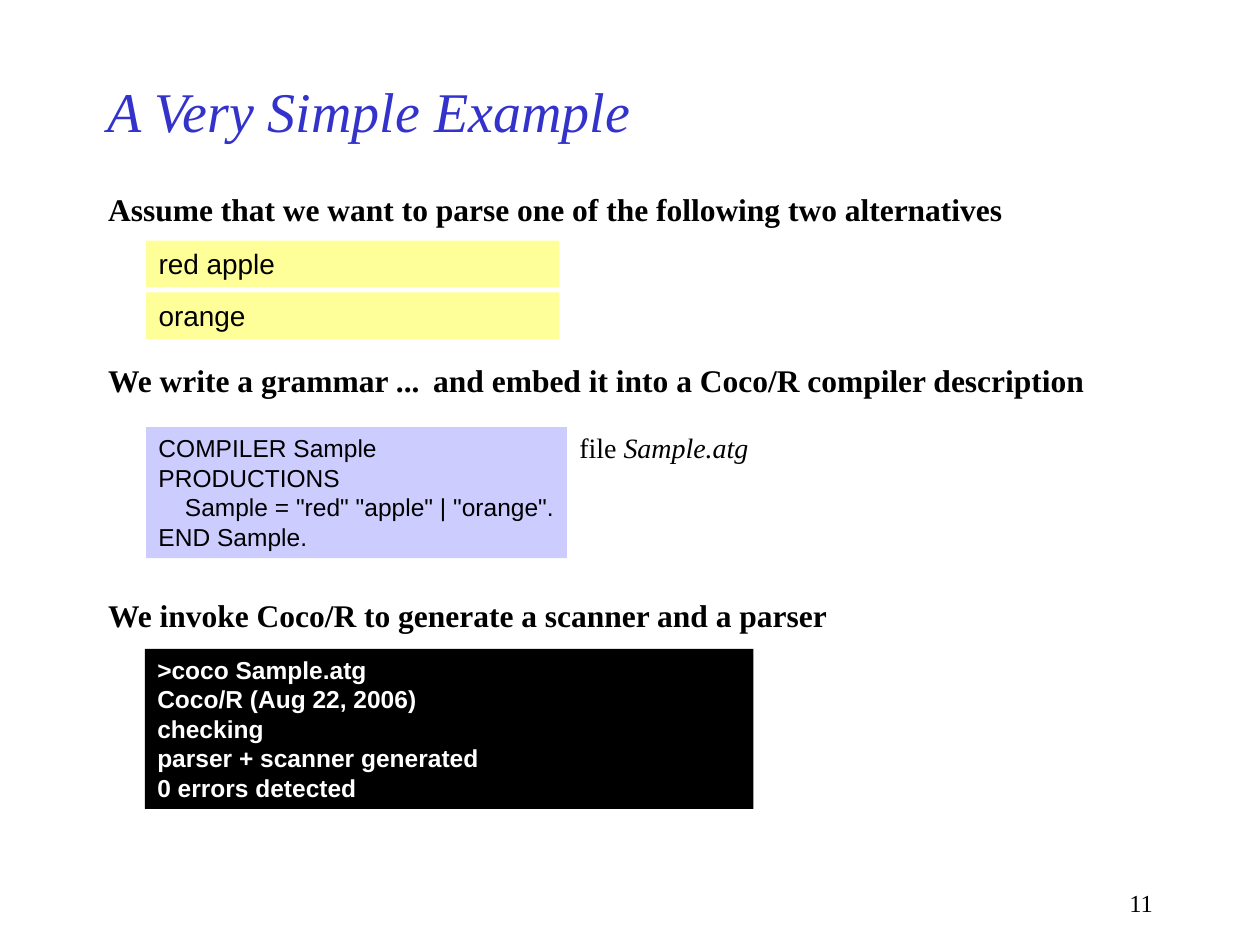
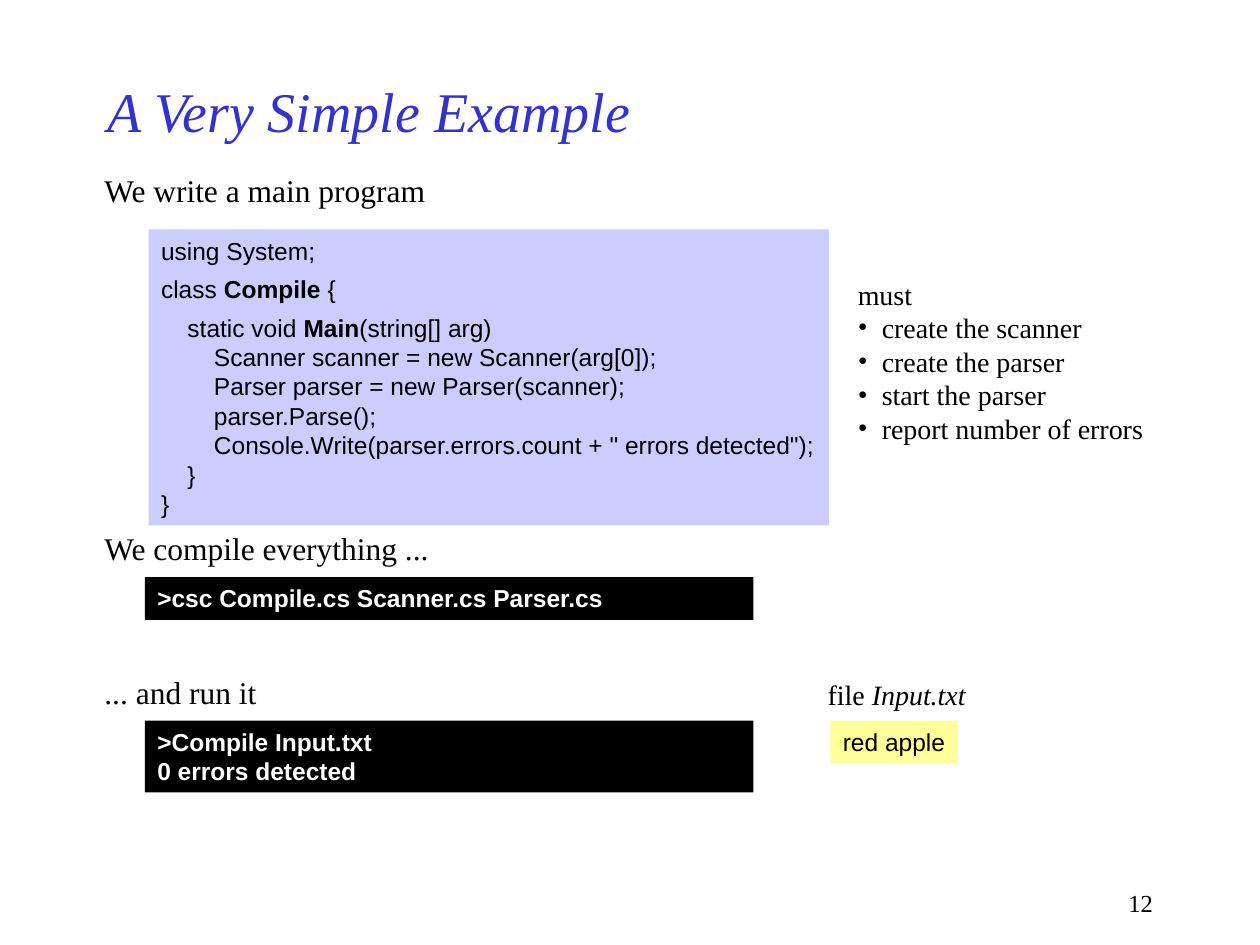
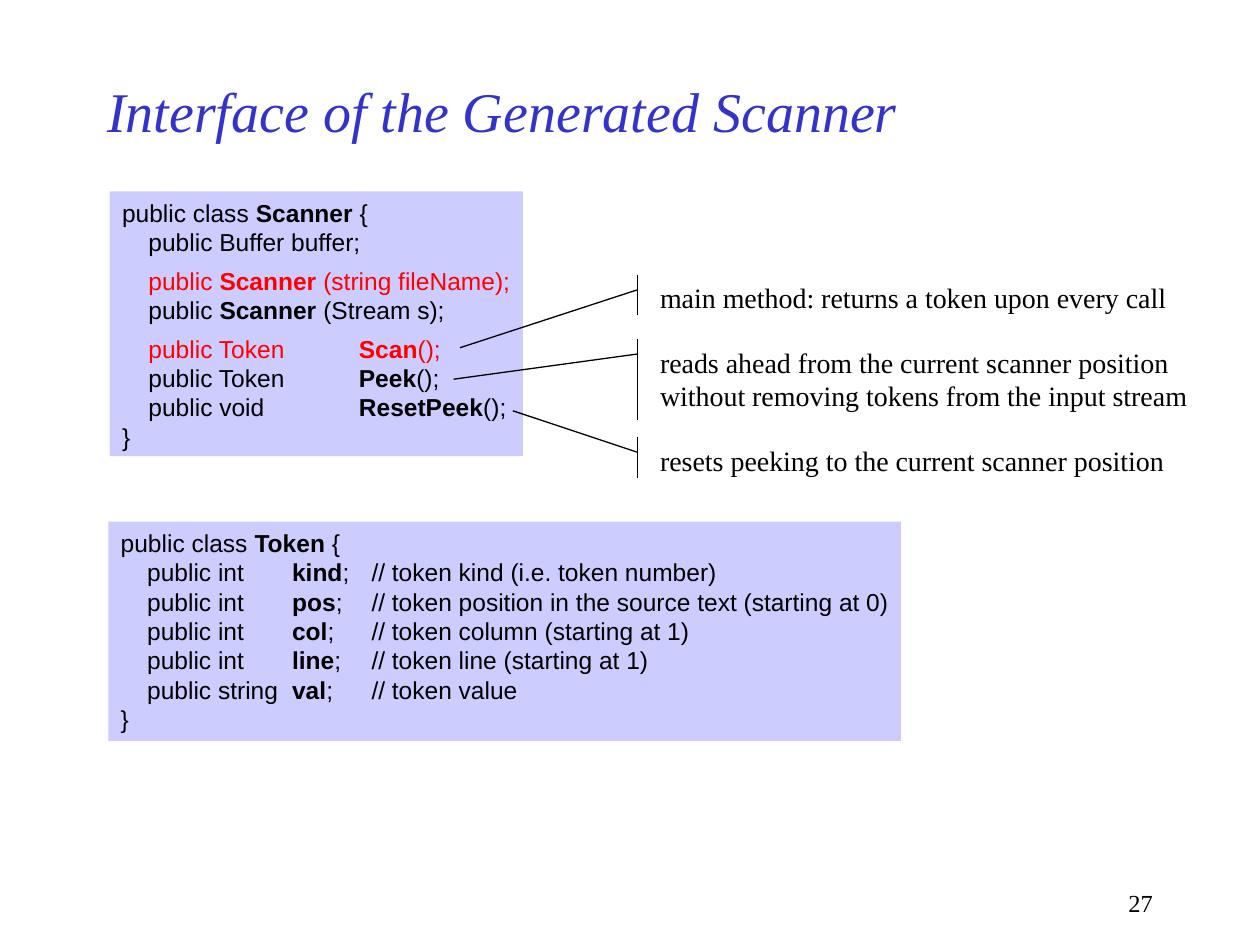
from pptx import Presentation
from pptx.dml.color import RGBColor
from pptx.enum.shapes import MSO_SHAPE
from pptx.enum.text import MSO_ANCHOR, PP_ALIGN
from pptx.oxml.ns import qn
from pptx.util import Inches, Pt
from lxml import etree

RECTANGLE = MSO_SHAPE.RECTANGLE
CALLOUT = MSO_SHAPE.LINE_CALLOUT_1_ACCENT_BAR
TOP, MIDDLE = MSO_ANCHOR.TOP, MSO_ANCHOR.MIDDLE
LEFT, RIGHT = PP_ALIGN.LEFT, PP_ALIGN.RIGHT

SERIF, SANS = "Times New Roman", "Arial"
BLACK, WHITE, BLUE, RED = "000000", "FFFFFF", "3333CC", "FF0000"
YELLOW, LILAC = "FFFF99", "CCCCFF"
GAP = 5.2
RED_LINE = {"color": RED}
SPACED = {"before": GAP}
BULLET = {"bullet": True}

HEADING = {"size": 18}
STRONG = {"size": 18, "bold": True}
NOTE = {"size": 16}
SAMPLE = {"size": 16, "font": SANS, "fill": YELLOW}
CODE = {"size": 14, "font": SANS, "fill": LILAC, "tabs": (0.21, 0.42)}
CONSOLE = {"size": 14, "font": SANS, "fill": BLACK, "color": WHITE, "bold": True}

SLIDES = [
    {
        "title": "A Very Simple Example",
        "number": "11",
        "blocks": [
            ((0.76, 1.46, 7.3, 0.4), STRONG,
             ["Assume that we want to parse one of the following two alternatives"]),
            ((1.16, 1.91, 3.28, 0.37), SAMPLE, ["red apple"]),
            ((1.16, 2.32, 3.28, 0.37), SAMPLE, ["orange"]),
            ((0.76, 2.82, 2.69, 0.4), STRONG, ["We write a grammar ..."]),
            ((3.34, 2.82, 5.37, 0.4), STRONG,
             ["and embed it into a Coco/R compiler description"]),
            ((1.16, 3.39, 3.34, 1.04), CODE, [
                "COMPILER Sample",
                "PRODUCTIONS",
                '\tSample = "red" "apple" | "orange".',
                "END Sample.",
            ]),
            ((4.5, 3.37, 1.54, 0.37), NOTE, ["file _Sample.atg_"]),
            ((0.76, 4.68, 5.93, 0.4), STRONG,
             ["We invoke Coco/R to generate a scanner and a parser"]),
            ((1.15, 5.15, 4.83, 1.27), CONSOLE, [
                ">coco Sample.atg",
                "Coco/R (Aug 22, 2006)",
                "checking",
                "parser + scanner generated",
                "0 errors detected",
            ]),
        ],
    },
    {
        "title": "A Very Simple Example",
        "number": "12",
        "blocks": [
            ((0.73, 1.31, 2.77, 0.4), HEADING, ["We write a main program"]),
            ((1.18, 1.82, 5.4, 2.35), CODE, [
                "using System;",
                ("class *Compile* {", SPACED),
                ("\tstatic void *Main*(string[] arg)", SPACED),
                "\t\tScanner scanner = new Scanner(arg[0]);",
                "\t\tParser parser = new Parser(scanner);",
                "\t\tparser.Parse();",
                '\t\tConsole.Write(parser.errors.count + " errors detected");',
                "\t}",
                "}",
            ]),
            ((6.71, 2.15, 2.47, 1.44), NOTE, [
                "must",
                ("create the scanner", BULLET),
                ("create the parser", BULLET),
                ("start the parser", BULLET),
                ("report number of errors", BULLET),
            ]),
            ((0.73, 4.15, 2.79, 0.4), HEADING, ["We compile everything ..."]),
            ((1.15, 4.58, 4.83, 0.34), CONSOLE, [">csc Compile.cs Scanner.cs Parser.cs"]),
            ((0.73, 5.29, 1.41, 0.4), HEADING, ["... and run it"]),
            ((1.15, 5.72, 4.83, 0.57), CONSOLE, [">Compile Input.txt", "0 errors detected"]),
            ((6.47, 5.33, 1.29, 0.37), NOTE, ["file _Input.txt_"]),
            ((6.59, 5.72, 1.01, 0.34), {**SAMPLE, "size": 14}, ["red apple"]),
        ],
    },
    {
        "title": "Interface of the Generated Scanner",
        "number": "27",
        "blocks": [
            ((0.87, 1.52, 3.28, 2.1), {**CODE, "tabs": (0.21, 1.88)}, [
                "public class *Scanner* {",
                "\tpublic Buffer buffer;",
                ("\tpublic *Scanner* (string fileName);", {**RED_LINE, **SPACED}),
                "\tpublic *Scanner* (Stream s);",
                ("\tpublic Token\t*Scan*();", {**RED_LINE, **SPACED}),
                "\tpublic Token\t*Peek*();",
                "\tpublic void\t*ResetPeek*();",
                "}",
            ]),
            ((0.86, 4.14, 6.29, 1.74), {**CODE, "tabs": (0.21, 1.36, 1.99)}, [
                "public class *Token* {",
                "\tpublic int\t*kind*;\t// token kind (i.e. token number)",
                "\tpublic int\t*pos*;\t// token position in the source text (starting at 0)",
                "\tpublic int\t*col*;\t// token column (starting at 1)",
                "\tpublic int\t*line*;\t// token line (starting at 1)",
                "\tpublic string\t*val*;\t// token value",
                "}",
            ]),
        ],
        "callouts": [
            ((5.14, 2.18, 4.39, 0.32), (3.65, 2.76),
             ["main method: returns a token upon every call"]),
            ((5.14, 2.69, 4.44, 0.64), (3.6, 3.01),
             ["reads ahead from the current scanner position",
              "without removing tokens from the input stream"]),
            ((5.14, 3.47, 4.32, 0.32), (4.07, 3.26),
             ["resets peeking to the current scanner position"]),
        ],
    },
]


def rgb(value):
    """Turn a hex string into a colour."""
    return RGBColor.from_string(value)


def set_list_format(paragraph, bullet, tabs):
    """Add the bullet with its hanging indent and the tab stops."""
    properties = paragraph._p.get_or_add_pPr()
    if bullet:
        properties.set("marL", str(Inches(0.19)))
        properties.set("indent", str(-Inches(0.19)))
        etree.SubElement(properties, qn("a:buFont"), typeface=SERIF)
        etree.SubElement(properties, qn("a:buChar"), char="•")
    if tabs:
        tab_list = etree.SubElement(properties, qn("a:tabLst"))
        for position in tabs:
            etree.SubElement(tab_list, qn("a:tab"), pos=str(Inches(position)), algn="l")


def add_runs(paragraph, text, size, font, color, bold, italic):
    """Write text whose *starred* parts are bold and _underscored_ parts italic."""
    for star_index, part in enumerate(text.split("*")):
        for score_index, piece in enumerate(part.split("_")):
            if not piece:
                continue
            run = paragraph.add_run()
            run.text = piece
            run.font.size = Pt(size)
            run.font.name = font
            run.font.color.rgb = rgb(color)
            run.font.bold = bold or star_index % 2 == 1
            run.font.italic = italic or score_index % 2 == 1


def write_text(shape, lines, size=16, font=SERIF, color=BLACK, bold=False,
               italic=False, align=LEFT, anchor=TOP, tabs=()):
    """Fill a shape with lines, each a string or a string with its own format."""
    frame = shape.text_frame
    frame.word_wrap = True
    frame.vertical_anchor = anchor
    frame.margin_left = Inches(0.1)
    frame.margin_right = 0
    frame.margin_top = frame.margin_bottom = Inches(0.05)
    for index, line in enumerate(lines):
        text, extra = (line, {}) if isinstance(line, str) else line
        paragraph = frame.add_paragraph() if index else frame.paragraphs[0]
        paragraph.alignment = align
        paragraph.space_before = Pt(extra.get("before", 0))
        set_list_format(paragraph, extra.get("bullet"), tabs)
        add_runs(paragraph, text, size, font, extra.get("color", color), bold, italic)


def add_block(slide, box, lines, fill=None, **text_format):
    """Add a text box, or a filled rectangle when a fill is given."""
    place = [Inches(length) for length in box]
    if fill:
        shape = slide.shapes.add_shape(RECTANGLE, *place)
        shape.shadow.inherit = False
        shape.fill.solid()
        shape.fill.fore_color.rgb = rgb(fill)
        shape.line.fill.background()
    else:
        shape = slide.shapes.add_textbox(*place)
    write_text(shape, lines, **text_format)


def add_callout(slide, box, target, lines):
    """Add a note with a side bar and a line to the code it explains."""
    left, top, width, height = box
    target_left, target_top = target
    shape = slide.shapes.add_shape(CALLOUT, *(Inches(length) for length in box))
    shape.shadow.inherit = False
    shape.fill.background()
    shape.line.color.rgb = rgb(BLACK)
    shape.line.width = Pt(0.75)
    ends = (0.12 / height, -0.08 / width,
            (target_top - top) / height, (target_left - left) / width)
    for index, end in enumerate(ends):
        shape.adjustments[index] = end
    write_text(shape, lines, **NOTE)


def add_title(slide, text):
    """Place and format the title."""
    title = slide.shapes.title
    title.left, title.top = Inches(0.75), Inches(0.5)
    title.width, title.height = Inches(7.5), Inches(0.75)
    write_text(title, [text], size=32, color=BLUE, italic=True, anchor=MIDDLE)


def main():
    """Build the slides and save them."""
    presentation = Presentation()
    presentation.slide_width, presentation.slide_height = Inches(10), Inches(7.5)
    title_only = presentation.slide_layouts[5]
    for content in SLIDES:
        slide = presentation.slides.add_slide(title_only)
        add_title(slide, content["title"])
        for box, style, lines in content["blocks"]:
            add_block(slide, box, lines, **style)
        for box, target, lines in content.get("callouts", []):
            add_callout(slide, box, target, lines)
        add_block(slide, (7.17, 7, 1.98, 0.33), [content["number"]], size=14, align=RIGHT)
    presentation.save("out.pptx")


if __name__ == "__main__":
    main()
